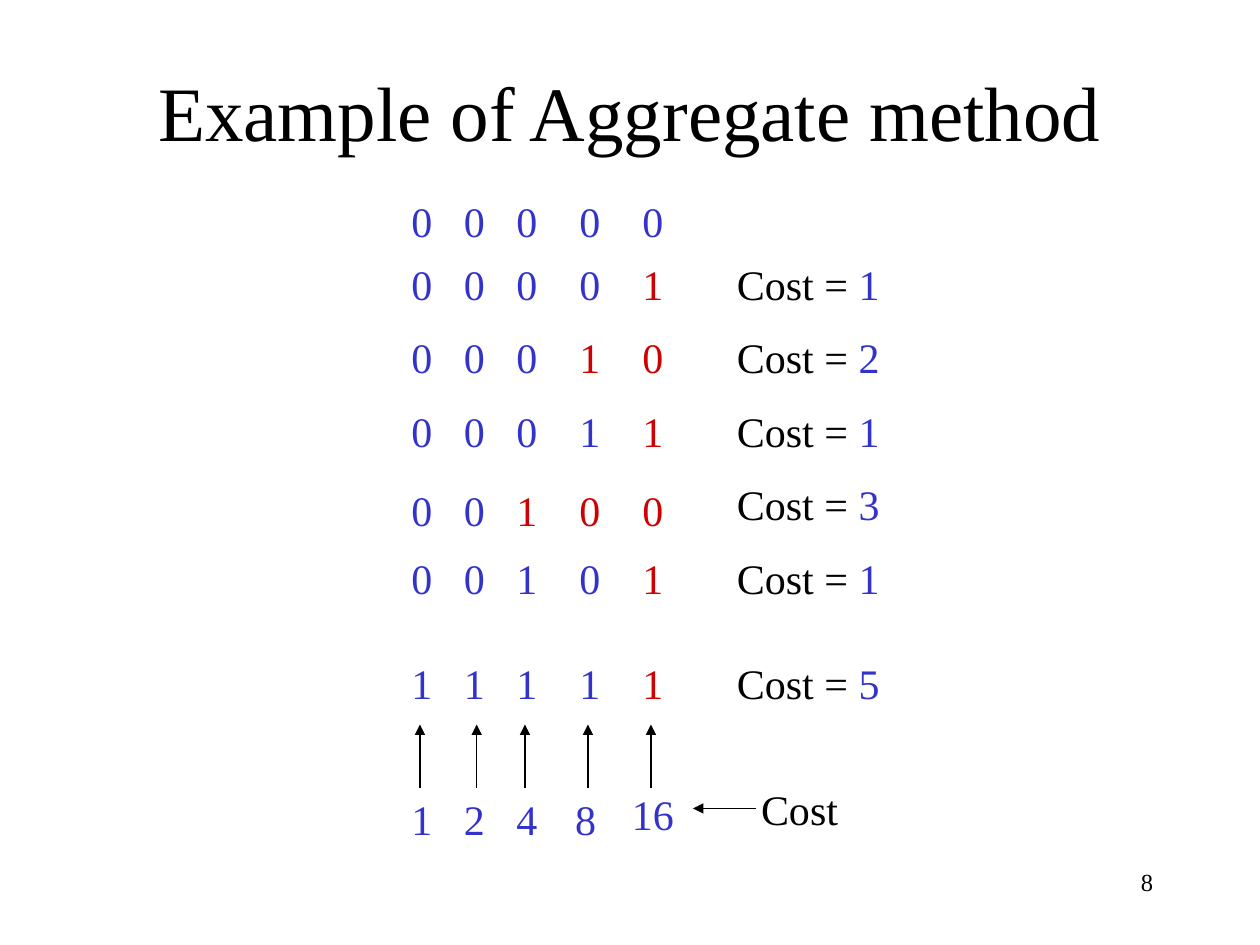
from typing import NamedTuple

import pptx
import pptx.dml.color
import pptx.enum.shapes
import pptx.enum.text
import pptx.oxml.ns
import pptx.util
from lxml import etree

RGBColor = pptx.dml.color.RGBColor
BLACK = RGBColor(0x00, 0x00, 0x00)
BLUE = RGBColor(0x33, 0x33, 0xCC)
RED = RGBColor(0xCE, 0x00, 0x00)

ALIGN = pptx.enum.text.PP_ALIGN
ANCHOR = pptx.enum.text.MSO_ANCHOR
FONT = "Times New Roman"
CELLS_PER_INCH = 12
BIT_COL, COST_COL = 38, 69
TEXT_ROWS = 6
BIT_TABS = (5, 10, 16, 22)
ARROW_TOP, ARROW_BOTTOM = 69, 75


class Box(NamedTuple):
    col: float
    row: float
    cols: float
    rows: float = TEXT_ROWS


class Run(NamedTuple):
    text: str
    color: RGBColor = BLACK


class Count(NamedTuple):
    row: float
    bits: str
    flipped: int
    cost_row: float


class Flip(NamedTuple):
    label: str
    arrow_col: float
    box: Box


COUNTS = (
    Count(18, "00000", 0, 18),
    Count(24, "00001", 1, 24),
    Count(31, "00010", 2, 31),
    Count(38, "00011", 1, 38),
    Count(45.6, "00100", 3, 45),
    Count(52, "00101", 1, 52),
    Count(62, "11111", 1, 62),
)

FLIPS = (
    Flip("16", 62, Box(59, 74.5, 6.4)),
    Flip("8", 56, Box(53.6, 75, 4.3)),
    Flip("4", 50, Box(48, 75, 4.3)),
    Flip("2", 45.4, Box(43, 75, 4.3)),
    Flip("1", 40, Box(38, 75, 4.3)),
)

COST_LABELS = {1: "1", 2: "2", 3: "3", 5: "5"}


def grid(cells: float) -> int:
    return pptx.util.Inches(cells / CELLS_PER_INCH)


def set_tabs(p, stops) -> None:
    pPr = p._p.get_or_add_pPr()
    tabs = etree.SubElement(pPr, pptx.oxml.ns.qn("a:tabLst"))
    for stop in stops:
        etree.SubElement(tabs, pptx.oxml.ns.qn("a:tab"), pos=str(grid(stop)), algn="l")


def add_text(shapes, box: Box, runs, size=24, align=ALIGN.LEFT,
             anchor=ANCHOR.TOP, wrap=False, tabs=()) -> None:
    tf = shapes.add_textbox(*map(grid, box)).text_frame
    tf.word_wrap = wrap
    tf.vertical_anchor = anchor
    p = tf.paragraphs[0]
    p.alignment = align
    if tabs:
        set_tabs(p, tabs)
    for run in runs:
        r = p.add_run()
        r.text = run.text
        r.font.color.rgb = run.color
        for name, value in {"name": FONT, "size": pptx.util.Pt(size)}.items():
            setattr(r.font, name, value)


def add_arrow(shapes, x1: float, y1: float, x2: float, y2: float) -> None:
    s = shapes.add_connector(
        pptx.enum.shapes.MSO_CONNECTOR.STRAIGHT, *map(grid, (x1, y1, x2, y2)))
    s.line.color.rgb = BLACK
    s.line.width = pptx.util.Pt(0.75)
    etree.SubElement(s.line._get_or_add_ln(), pptx.oxml.ns.qn("a:tailEnd"), type="triangle")
    etree.SubElement(s._element.spPr, pptx.oxml.ns.qn("a:effectLst"))


def add_count(shapes, count: Count) -> None:
    split = len(count.bits) - count.flipped
    kept, changed = "\t".join(count.bits[:split]), "\t".join(count.bits[split:])
    runs = [Run(kept + "\t", BLUE), Run(changed, RED)] if changed else [Run(kept, BLUE)]
    add_text(shapes, Box(BIT_COL, count.row, 27), runs, wrap=True, tabs=BIT_TABS)


def add_cost(shapes, count: Count) -> None:
    cost = 5 if count.bits == "11111" else count.flipped
    if cost:
        add_text(shapes, Box(COST_COL, count.cost_row, 16),
                 [Run("Cost = "), Run(str(cost), BLUE)])


def add_flip(shapes, flip: Flip) -> None:
    group = shapes.add_group_shape().shapes
    add_arrow(group, flip.arrow_col, ARROW_BOTTOM, flip.arrow_col, ARROW_TOP)
    add_text(group, flip.box, [Run(flip.label, BLUE)])


def main() -> None:
    prs = pptx.Presentation()
    prs.slide_width, prs.slide_height = grid(120), grid(90)
    shapes = prs.slides.add_slide(prs.slide_layouts[6]).shapes

    add_text(shapes, Box(86, 82, 25), [Run("8")], size=14, align=ALIGN.RIGHT, wrap=True)
    add_text(shapes, Box(9, 3, 102, 15), [Run("Example of Aggregate method")],
             size=44, align=ALIGN.CENTER, anchor=ANCHOR.MIDDLE, wrap=True)
    for count in COUNTS:
        add_cost(shapes, count)
    legend = shapes.add_group_shape().shapes
    add_text(legend, Box(71.3, 74, 9.8), [Run("Cost")])
    add_arrow(legend, 72, 77, 66, 77)
    for count in COUNTS:
        add_count(shapes, count)
    for flip in FLIPS:
        add_flip(shapes, flip)

    prs.save("out.pptx")


if __name__ == "__main__":
    main()
